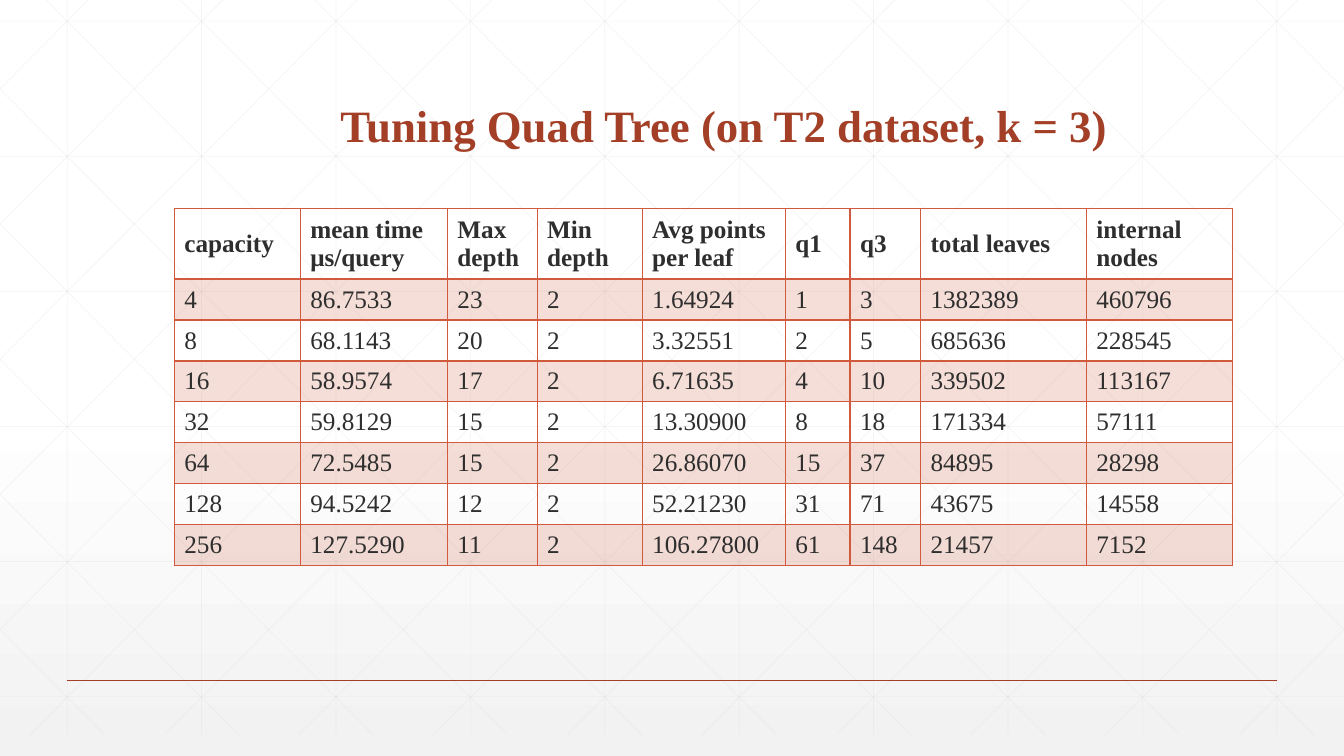
from copy import deepcopy

from pptx import Presentation
from pptx.dml.color import RGBColor
from pptx.enum.shapes import MSO_CONNECTOR
from pptx.enum.text import MSO_ANCHOR
from pptx.oxml.ns import qn
from pptx.util import Pt
from lxml.etree import SubElement

# Content
TITLE = "Tuning Quad Tree (on T2 dataset, k = 3)"
TABLE_ROWS = [
    ("capacity", "mean time μs/query", "Max depth", "Min depth", "Avg points per leaf",
     "q1", "q3", "total leaves", "internal nodes"),
    ("4", "86.7533", "23", "2", "1.64924", "1", "3", "1382389", "460796"),
    ("8", "68.1143", "20", "2", "3.32551", "2", "5", "685636", "228545"),
    ("16", "58.9574", "17", "2", "6.71635", "4", "10", "339502", "113167"),
    ("32", "59.8129", "15", "2", "13.30900", "8", "18", "171334", "57111"),
    ("64", "72.5485", "15", "2", "26.86070", "15", "37", "84895", "28298"),
    ("128", "94.5242", "12", "2", "52.21230", "31", "71", "43675", "14558"),
    ("256", "127.5290", "11", "2", "106.27800", "61", "148", "21457", "7152"),
]

# Style and layout, in points
FONT = "Times New Roman"
WHITE = RGBColor(0xFF, 0xFF, 0xFF)
PALE_GRAY = RGBColor(0xF2, 0xF2, 0xF2)
GRID_GRAY = RGBColor(0xD9, 0xD9, 0xD9)
BRICK = RGBColor(0xA4, 0x3F, 0x27)
ORANGE = RGBColor(0xD1, 0x5A, 0x3E)
INK = RGBColor(0x2D, 0x2E, 0x2D)
SLIDE_WIDTH, SLIDE_HEIGHT = 960, 540
GRID_STEP, GRID_BOTTOM = 96, 525
DIAGONAL_TOP, DIAGONAL_RUN = -15, 0.994
COLUMN_WIDTHS = [90, 105.1, 64.1, 75, 102.3, 46.2, 50.4, 118.4, 104.5]
HEADER_HEIGHT, ROW_HEIGHT = 47.2, 29.2


def set_alpha(color_element, percent):
    SubElement(color_element, qn("a:alpha")).set("val", str(percent * 1000))


def add_line(slide, start, end, color, width, alpha=None):
    line = slide.shapes.add_connector(
        MSO_CONNECTOR.STRAIGHT, *(Pt(value) for value in (*start, *end)))
    line.line.color.rgb = color
    line.line.width = Pt(width)
    properties = line._element.spPr
    if alpha:
        set_alpha(properties.xpath("./a:ln/a:solidFill/a:srgbClr")[0], alpha)
    SubElement(properties, qn("a:effectLst"))


def add_run(paragraph, text, size, color, bold):
    run = paragraph.add_run()
    run.text = text
    run.font.name = FONT
    run.font.size = Pt(size)
    run.font.bold = bold
    run.font.color.rgb = color


def add_border(cell, side, width):
    border = SubElement(cell._tc.get_or_add_tcPr(), qn(f"a:ln{side}"), w=str(Pt(width)))
    fill = SubElement(border, qn("a:solidFill"))
    SubElement(fill, qn("a:srgbClr"), val=str(ORANGE))


def set_background(slide):
    fill = slide.background.fill
    fill.gradient()
    first_stop = fill._fill._gradFill.gsLst[0]
    first_stop.addnext(deepcopy(first_stop))
    stops = ((0, WHITE), (0.53, WHITE), (1, PALE_GRAY))
    for stop, (position, color) in zip(fill.gradient_stops, stops):
        stop.position = position
        stop.color.rgb = color
    fill.gradient_angle = 270


def add_grid(slide):
    lines = [((x, 0), (x, GRID_BOTTOM)) for x in range(48, SLIDE_WIDTH, GRID_STEP)]
    for row in range(6):
        y = 15.1 + 96.5 * row
        lines.append(((0, y), (SLIDE_WIDTH, y)))
    # Diagonals are cut at the slide edges, then mirrored left to right
    for index in range(-5, 10):
        origin = 18 + GRID_STEP * index
        top = max(0, DIAGONAL_TOP - origin / DIAGONAL_RUN)
        bottom = min(GRID_BOTTOM, DIAGONAL_TOP + (SLIDE_WIDTH - origin) / DIAGONAL_RUN)
        left, right = (origin + (y - DIAGONAL_TOP) * DIAGONAL_RUN for y in (top, bottom))
        lines.append(((left, top), (right, bottom)))
        lines.append(((SLIDE_WIDTH - left, top), (SLIDE_WIDTH - right, bottom)))
    for start, end in lines:
        add_line(slide, start, end, GRID_GRAY, 0.5, alpha=25)


def add_title(slide):
    title = slide.shapes.add_textbox(Pt(236), Pt(57), Pt(682.5), Pt(55.4))
    frame = title.text_frame
    frame.word_wrap = True
    frame.vertical_anchor = MSO_ANCHOR.BOTTOM
    paragraph = frame.paragraphs[0]
    paragraph.line_spacing = 0.9
    add_run(paragraph, TITLE, 32, BRICK, True)


def add_results_table(slide):
    height = HEADER_HEIGHT + ROW_HEIGHT * (len(TABLE_ROWS) - 1)
    table = slide.shapes.add_table(
        len(TABLE_ROWS), len(COLUMN_WIDTHS),
        Pt(124.5), Pt(149), Pt(sum(COLUMN_WIDTHS)), Pt(height)).table
    table.first_row = table.horz_banding = False
    for column, width in zip(table.columns, COLUMN_WIDTHS):
        column.width = Pt(width)
    for row_index, values in enumerate(TABLE_ROWS):
        is_header = row_index == 0
        table.rows[row_index].height = Pt(HEADER_HEIGHT if is_header else ROW_HEIGHT)
        for column_index, text in enumerate(values):
            cell = table.cell(row_index, column_index)
            cell.vertical_anchor = MSO_ANCHOR.MIDDLE
            add_run(cell.text_frame.paragraphs[0], text, 18, INK, is_header)
            for side in "LRTB":
                under_header = (row_index, side) in ((0, "B"), (1, "T"))
                add_border(cell, side, 2 if under_header else 1)
            if row_index % 2:
                cell.fill.solid()
                cell.fill.fore_color.rgb = ORANGE
                set_alpha(cell._tc.tcPr.xpath("./a:solidFill/a:srgbClr")[0], 20)
            else:
                cell.fill.background()


def main():
    presentation = Presentation()
    presentation.slide_width = Pt(SLIDE_WIDTH)
    presentation.slide_height = Pt(SLIDE_HEIGHT)
    slide = presentation.slides.add_slide(presentation.slide_layouts[6])
    set_background(slide)
    add_grid(slide)
    add_line(slide, (48, 486), (912, 486), BRICK, 1)
    add_title(slide)
    add_results_table(slide)
    presentation.save("out.pptx")


if __name__ == "__main__":
    main()
